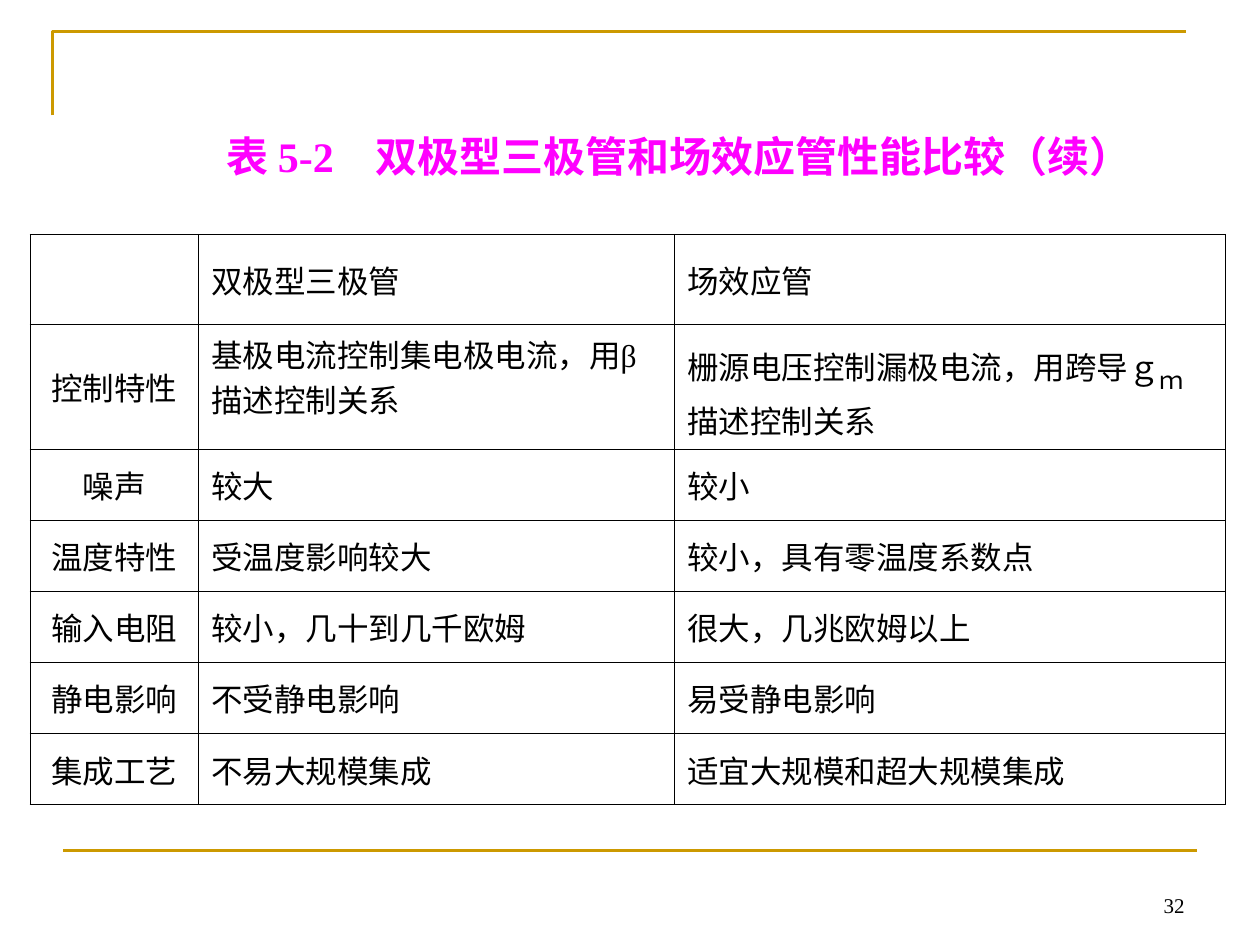
from dataclasses import dataclass

from lxml.etree import SubElement
from pptx import Presentation
from pptx.dml.color import RGBColor
from pptx.enum.shapes import MSO_CONNECTOR
from pptx.enum.text import MSO_ANCHOR, PP_ALIGN
from pptx.oxml.ns import qn
from pptx.util import Pt


@dataclass(frozen=True)
class Theme:
    font: str = "Times New Roman"
    ink: RGBColor = RGBColor(0, 0, 0)
    heading: RGBColor = RGBColor(0xFF, 0, 0xFF)
    rule: RGBColor = RGBColor(0xCC, 0x99, 0)
    heading_size: Pt = Pt(24)
    body_size: Pt = Pt(18)
    number_size: Pt = Pt(12)
    rule_width: Pt = Pt(1.5)
    inner_border: Pt = Pt(0.45)
    outer_border: Pt = Pt(0.34)


theme = Theme()


def write(frame, runs, size, color=theme.ink, align=PP_ALIGN.LEFT, bold=False):
    """Fill the first paragraph; a run is a string or (string, size, baseline)."""
    frame.word_wrap = True
    paragraph = frame.paragraphs[0]
    paragraph.alignment = align
    paragraph.font.size = size
    for item in runs:
        wording, run_size, baseline = (item, size, None) if isinstance(item, str) else item
        run = paragraph.add_run()
        run.text = wording
        for key, value in {"name": theme.font, "size": run_size, "bold": bold}.items():
            setattr(run.font, key, value)
        run.font.color.rgb = color
        if baseline:
            run.font._element.set("baseline", baseline)


def draw_border(cell, side, width):
    line = SubElement(cell._tc.get_or_add_tcPr(), qn(f"a:ln{side}"), w=str(int(width)))
    fill = SubElement(line, qn("a:solidFill"))
    SubElement(fill, qn("a:srgbClr"), val=str(theme.ink))


deck = Presentation()
deck.slide_width, deck.slide_height = Pt(720), Pt(540)
slide = deck.slides.add_slide(deck.slide_layouts[6])
shapes = slide.shapes

# Frame rules
corner_path = shapes.build_freeform(Pt(30), Pt(66))
corner_path.add_line_segments([(Pt(30), Pt(18)), (Pt(678), Pt(18))], close=False)
corner = corner_path.convert_to_shape()
corner.fill.background()
corner.shadow.inherit = False
footer_rule = shapes.add_connector(MSO_CONNECTOR.STRAIGHT, Pt(36), Pt(486), Pt(684), Pt(486))
SubElement(footer_rule._element.spPr, qn("a:effectLst"))
for rule in (corner, footer_rule):
    rule.line.color.rgb = theme.rule
    rule.line.width = theme.rule_width

# Comparison table
comparison = [
    ["", "双极型三极管", "场效应管"],
    ["控制特性", "基极电流控制集电极电流，用β 描述控制关系",
     ["栅源电压控制漏极电流，用跨导ｇ", ("ｍ", Pt(24), "-25000"), "描述控制关系"]],
    ["噪声", "较大", "较小"],
    ["温度特性", "受温度影响较大", "较小，具有零温度系数点"],
    ["输入电阻", "较小，几十到几千欧姆", "很大，几兆欧姆以上"],
    ["静电影响", "不受静电影响", "易受静电影响"],
    ["集成工艺", "不易大规模集成", "适宜大规模和超大规模集成"],
]
column_widths = [96.5, 272, 314.5]
row_heights = [51.5, 67.5, 41] + [40.6] * 4
table = shapes.add_table(len(row_heights), len(column_widths), Pt(17), Pt(133.9),
                         Pt(sum(column_widths)), Pt(sum(row_heights))).table
table.first_row = table.horz_banding = False
for column, width in zip(table.columns, column_widths):
    column.width = Pt(width)
for row, height in zip(table.rows, row_heights):
    row.height = Pt(height)

CONTROL_ROW = 1
last_column = len(column_widths) - 1
for r, entries in enumerate(comparison):
    for c, entry in enumerate(entries):
        cell = table.cell(r, c)
        runs = [entry] if isinstance(entry, str) else entry
        write(cell.text_frame, runs if entry else [], theme.body_size,
              align=PP_ALIGN.LEFT if c else PP_ALIGN.CENTER)
        top_aligned = r == CONTROL_ROW and c > 0
        cell.vertical_anchor = MSO_ANCHOR.TOP if top_aligned else MSO_ANCHOR.MIDDLE
        for side in "LRTB":
            outer = (side == "L" and c == 0) or (side == "R" and c == last_column)
            draw_border(cell, side, theme.outer_border if outer else theme.inner_border)
        cell.fill.background()

# Table heading and page number
heading = shapes.add_textbox(Pt(121.7), Pt(71.3), Pt(532.8), Pt(64.8))
write(heading.text_frame, ["表 5-2　双极型三极管和场效应管性能比较（续）"],
      theme.heading_size, theme.heading, PP_ALIGN.CENTER, bold=True)
page_number = shapes.add_textbox(Pt(516), Pt(492), Pt(168), Pt(36))
page_number.text_frame.vertical_anchor = MSO_ANCHOR.BOTTOM
write(page_number.text_frame, ["32"], theme.number_size, align=PP_ALIGN.RIGHT)

deck.save("out.pptx")
